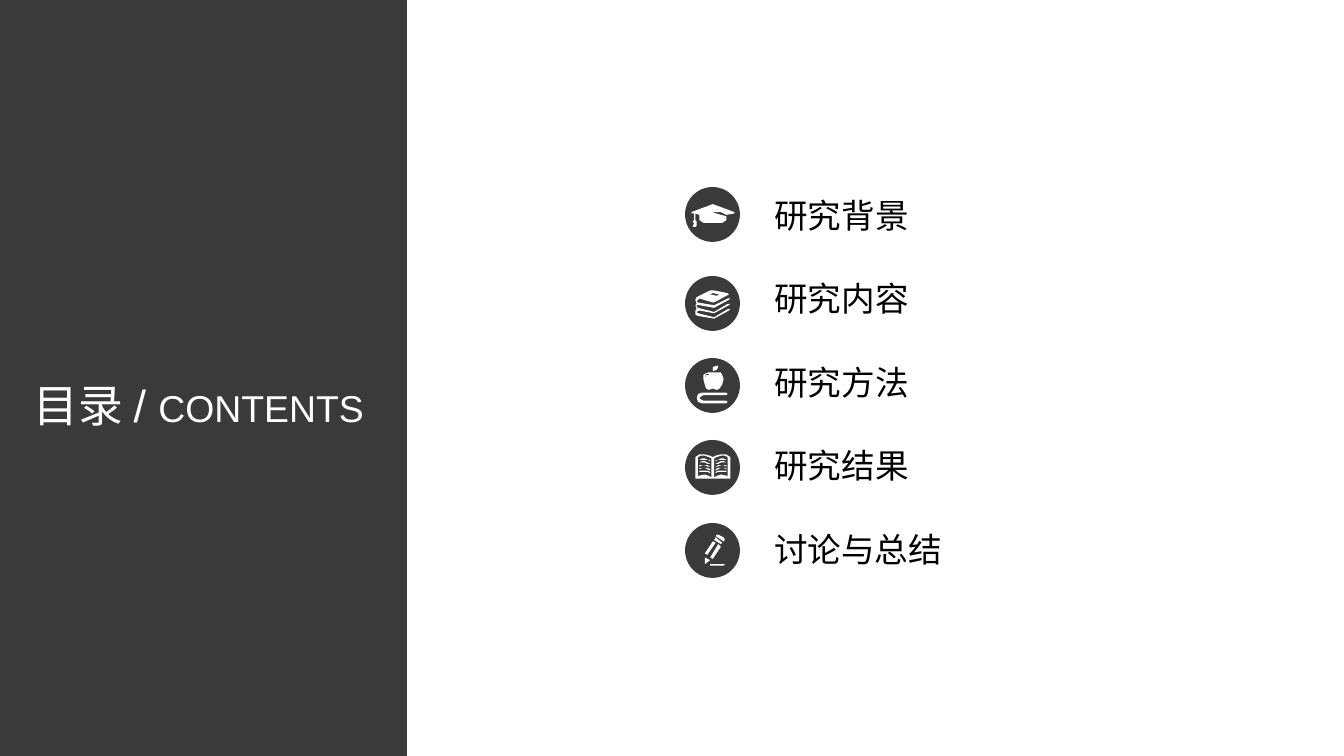
from pptx import Presentation
from pptx.dml.color import RGBColor
from pptx.enum.shapes import MSO_SHAPE
from pptx.enum.text import MSO_ANCHOR, MSO_AUTO_SIZE, PP_ALIGN
from pptx.oxml.ns import qn
from pptx.util import Emu, Pt

RECTANGLE, OVAL = MSO_SHAPE.RECTANGLE, MSO_SHAPE.OVAL
TOP = MSO_ANCHOR.TOP
GROW = MSO_AUTO_SIZE.SHAPE_TO_FIT_TEXT
LEFT, CENTER = PP_ALIGN.LEFT, PP_ALIGN.CENTER
TITLE_ONLY = 5

THEME = {
    "dark": RGBColor(0x3A, 0x3A, 0x3A),
    "white": RGBColor(0xFF, 0xFF, 0xFF),
    "black": RGBColor(0, 0, 0),
    "latin": "Arial",
    "cjk": "Noto Sans CJK SC",
    "title": 24,
    "subtitle": 20,
    "item": 18,
    "outline": 1,
}

TITLE = [("目录 / ", THEME["title"]), ("CONTENTS", THEME["subtitle"])]


def mirrored(contour):
    """Reflect a contour across the spine of the open book."""
    return [(40 - x, y) for x, y in contour]


# Icon outlines in hundredths of an inch from the top left of their disc.
# Each icon is a list of outlines, each outline a list of contours.
CAP = [[[
    (4, 18), (20, 12), (36, 18), (36, 19), (30, 20), (26.5, 18.5), (20, 18),
    (19, 18.5), (26, 19.5), (30, 21), (30, 24), (27, 25.5), (20, 26),
    (13, 25.5), (10, 24), (10, 20), (7, 19), (7, 24), (8, 25), (7.5, 26),
    (8, 28), (7, 29.3), (5, 29), (6, 26), (5, 25), (6, 24), (6, 19), (4, 19),
]]]
BOOKS = [[
    [(21, 27), (32, 21), (33, 20), (31, 20), (21, 26), (9, 23), (8, 22),
     (8, 21.2), (10, 21), (21, 23), (32, 17), (33, 16), (31, 16), (21, 21),
     (9, 19), (8, 17.5), (10, 16), (20, 19), (21, 19), (32, 13), (31, 12),
     (21, 10), (18, 10), (8, 15), (7, 17), (8, 20), (7, 21), (8, 24),
     (7, 25), (7, 27.5), (9, 29), (21, 31), (32, 25), (33, 24), (31, 24),
     (21, 30), (9, 27), (8, 26), (10, 25)],
    [(20, 12), (25, 13), (23, 14), (18, 13)],
]]
APPLE = [[
    [(31, 32), (30, 33), (12, 33), (9.2, 31.8), (8, 29), (9.2, 26.2),
     (12, 25), (30, 25), (31, 25.5), (30, 27), (13, 27), (10.7, 27.6),
     (10, 29), (10.7, 30.4), (13, 31), (30, 31)],
    [(20, 9), (20.5, 6.5), (23, 5), (24, 5), (24, 6), (23, 8)],
    [(27, 12), (25.5, 10.5), (23, 10), (20, 10.5), (17, 10), (14.5, 10.6),
     (13, 12), (12.6, 15), (13.5, 19), (15, 22), (17, 23), (20, 22.3),
     (23, 23), (25, 22), (26.6, 19), (27.5, 15)],
    [(17, 12), (15, 12.3), (14.4, 14), (14, 14), (14, 12.6), (15, 11.4), (17, 11)],
]]
COVER = [(33, 12), (30, 10.5), (26, 10), (22.5, 10.6), (20, 12), (17.5, 10.6),
         (14, 10), (10, 10.5), (7, 12), (7, 28), (33, 28)]
PAGE = [(19, 13), (17, 11.6), (14, 11), (11, 11.3), (9, 12), (9, 26),
        (14, 25), (17, 25.6), (19, 27)]
PAGE_LINE = [(10, 13.6), (12, 13.2), (14.5, 13.1), (16.5, 13.6), (18, 14.4),
             (18, 15), (16.4, 14.4), (14.5, 13.9), (12, 13.9), (10, 14.3)]
LEFT_LINES = [[(x, y + 2.2 * row) for x, y in PAGE_LINE] for row in range(5)]
OPEN_BOOK = [[COVER, PAGE, mirrored(PAGE)]]
OPEN_BOOK += [[line] for line in LEFT_LINES]
OPEN_BOOK += [[mirrored(line)] for line in LEFT_LINES]
PENCIL = [[
    [(23, 8), (24, 8), (28, 10), (29, 12), (28, 13), (22, 9)],
    [(21.5, 10), (20.7, 11.7), (26, 15), (27, 14)],
    [(14, 30), (14, 25), (18, 27)],
    [(14, 22), (20, 13), (22, 14), (16, 23)],
    [(18, 25), (24, 15), (26, 17), (20, 26)],
    [(18, 30), (28, 30), (29, 30.5), (28, 31), (18, 31)],
]]

# Section name, icon, disc top in px
SECTIONS = [
    ("研究背景", CAP, 188),
    ("研究内容", BOOKS, 277),
    ("研究方法", APPLE, 359),
    ("研究结果", OPEN_BOOK, 441),
    ("讨论与总结", PENCIL, 524),
]

PX = 914400 / 134.4
ICON_UNIT = 9144
SLIDE_W, SLIDE_H = 1344, 756
PANEL_W = 407
TITLE_BOX = (15, 371, 368, 69)
DISC_LEFT, DISC_SIZE = 686, 53
LABEL_LEFT, LABEL_H = 761, 54
FIRST_LABEL, LAST_LABEL = 188, 522
CHAR_W, LABEL_INSETS = 34, 28


def px(*lengths):
    return [Emu(round(length * PX)) for length in lengths]


def paint(shape, fill, line=None):
    shape.shadow.inherit = False
    shape.fill.solid()
    shape.fill.fore_color.rgb = fill
    if line is None:
        shape.line.fill.background()
    else:
        shape.line.color.rgb = line
        shape.line.width = Pt(THEME["outline"])


def write(shape, runs, *, color, font, align=LEFT, wrap=True):
    """Fill a shape with one paragraph of (text, size) runs."""
    frame = shape.text_frame
    frame.word_wrap = wrap
    frame.auto_size = GROW
    frame.vertical_anchor = TOP
    paragraph = frame.paragraphs[0]
    paragraph.alignment = align
    paragraph.line_spacing = 1.0
    paragraph.space_before = Pt(0)
    for text, size in runs:
        run = paragraph.add_run()
        run.text = text
        run.font.size = Pt(size)
        run.font.name = font
        run.font.color.rgb = color
        properties = run.font._element
        east_asian = properties.makeelement(qn("a:ea"), {"typeface": THEME["cjk"]})
        properties.find(qn("a:latin")).addnext(east_asian)


def draw_outline(shapes, contours, left, top):
    first, *rest = contours
    builder = shapes.build_freeform(*first[0], scale=ICON_UNIT)
    builder.add_line_segments(first[1:], close=True)
    for contour in rest:
        builder.move_to(*contour[0])
        builder.add_line_segments(contour[1:], close=True)
    paint(builder.convert_to_shape(left, top), THEME["white"])


def add_icon(slide, outlines, disc_top):
    group = slide.shapes.add_group_shape()
    left, top, size = px(DISC_LEFT, disc_top, DISC_SIZE)
    disc = group.shapes.add_shape(OVAL, left, top, size, size)
    paint(disc, THEME["dark"], THEME["dark"])
    for contours in outlines:
        draw_outline(group.shapes, contours, left, top)


def main():
    deck = Presentation()
    deck.slide_width, deck.slide_height = px(SLIDE_W, SLIDE_H)
    slide = deck.slides.add_slide(deck.slide_layouts[TITLE_ONLY])

    title = slide.shapes.title
    title.left, title.top, title.width, title.height = px(*TITLE_BOX)
    write(title, TITLE, color=THEME["white"], font=THEME["latin"], align=CENTER)

    panel = slide.shapes.add_shape(RECTANGLE, *px(0, 0, PANEL_W, SLIDE_H))
    paint(panel, THEME["dark"])
    title._element.addprevious(panel._element)

    pitch = (LAST_LABEL - FIRST_LABEL) / (len(SECTIONS) - 1)
    for index, (name, icon, disc_top) in enumerate(SECTIONS):
        label_w = len(name) * CHAR_W + LABEL_INSETS
        label = slide.shapes.add_textbox(
            *px(LABEL_LEFT, FIRST_LABEL + index * pitch, label_w, LABEL_H))
        write(label, [(name, THEME["item"])],
              color=THEME["black"], font=THEME["cjk"], wrap=False)
        add_icon(slide, icon, disc_top)

    deck.save("out.pptx")


if __name__ == "__main__":
    main()
